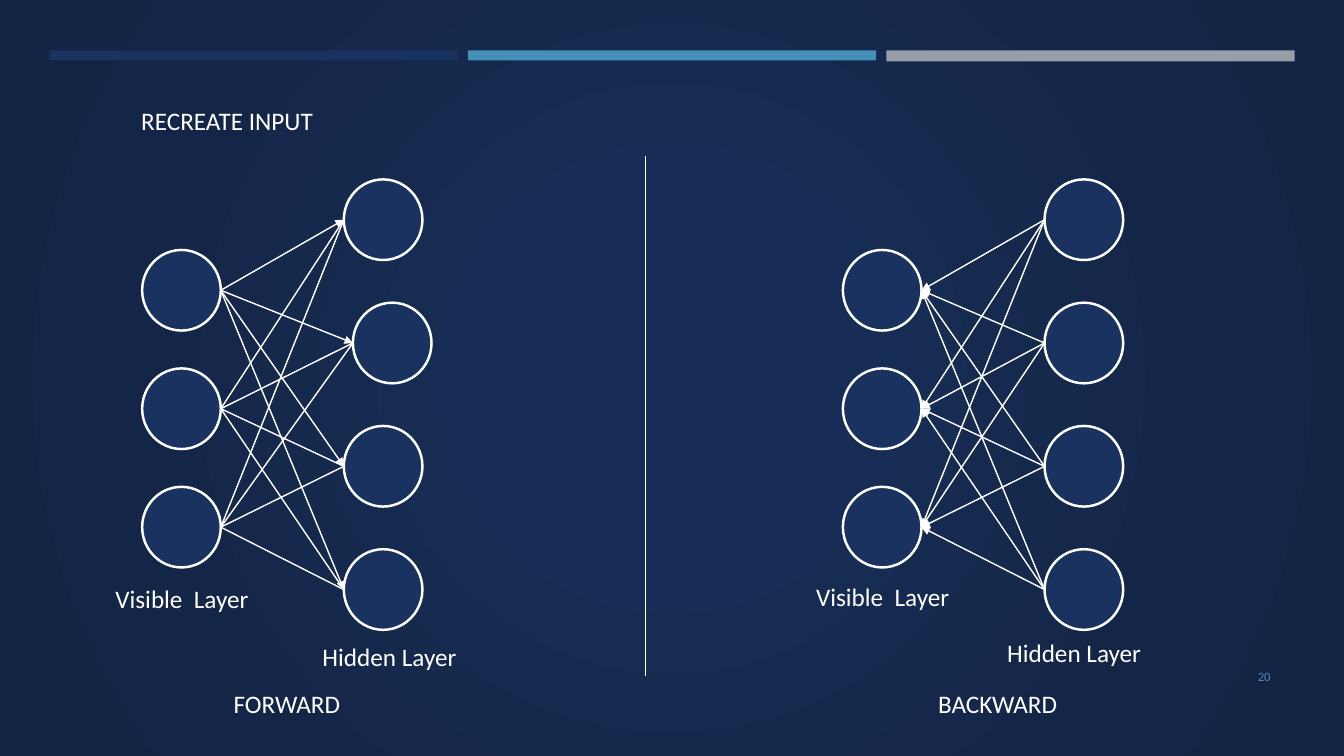
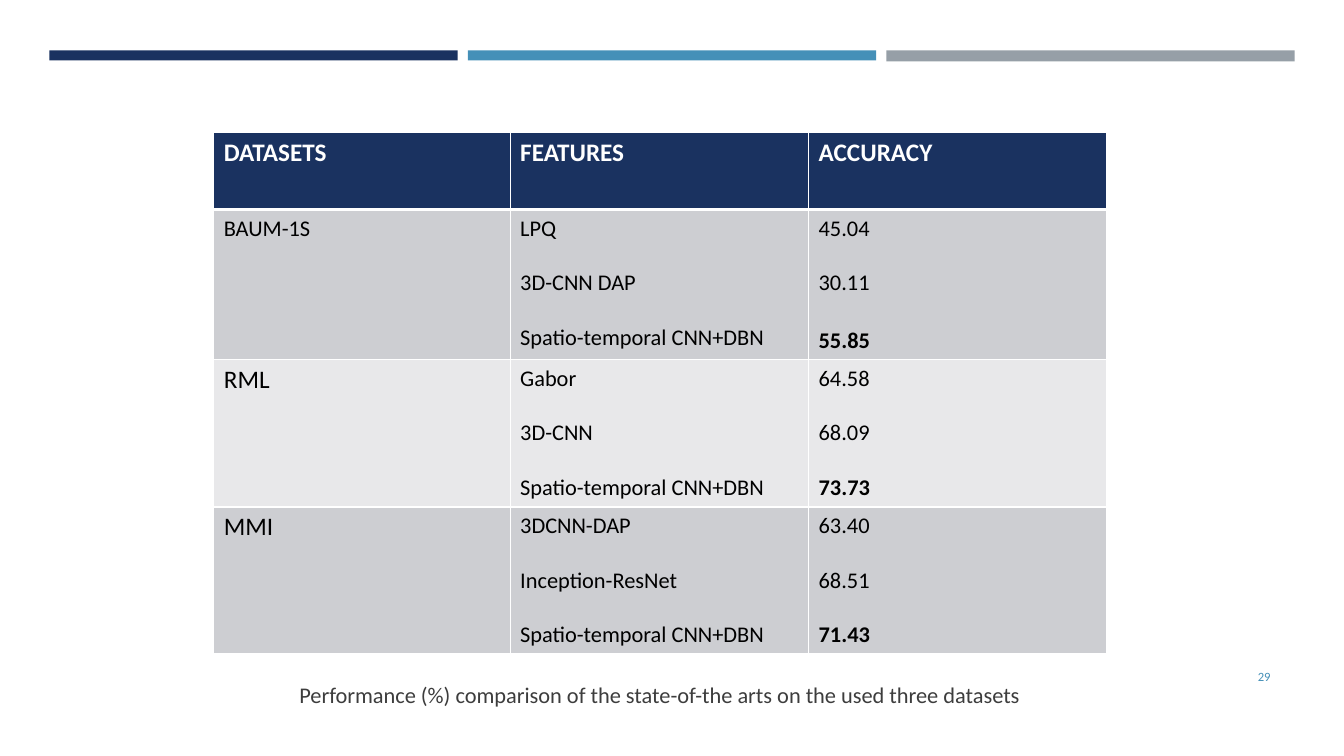
import pptx
import pptx.dml.color
import pptx.enum.shapes
import pptx.enum.text
import pptx.oxml
import pptx.oxml.ns
import pptx.util
from pptx.util import Inches

SHAPE = pptx.enum.shapes.MSO_SHAPE
ALIGN = pptx.enum.text.PP_ALIGN
ANCHOR = pptx.enum.text.MSO_ANCHOR
NS = pptx.oxml.ns.nsdecls("a")

FONT = "Calibri"
NAVY, BLUE, GREY = "1A3260", "4590B8", "969FA7"
WHITE, BLACK, CAPTION = "FFFFFF", "000000", "3D3D3D"
BANDS = [(0.49, 0.1, NAVY), (8.79, 0.11, GREY), (4.64, 0.1, BLUE)]
GLOW = [(0, "172D55"), (23, "172D55"), (69, "142648"), (97, "122343")]

NODE_W, NODE_H = 0.78, 0.8
VISIBLE_TOPS = [2.48 + 1.175 * i for i in range(3)]
HIDDEN_TOPS = [1.78 + 1.223 * i for i in range(4)]
# left edge, shift of each hidden node, label boxes
NETWORKS = [
    {"left": 1.41, "shifts": [0, 0.09, 0, 0], "backward": False, "labels": [
        ("Visible  Layer", (0.99, 5.74, 1.63, 0.4), ALIGN.CENTER),
        ("Hidden Layer", (3.1, 6.31, 1.58, 0.4), ALIGN.LEFT),
        ("FORWARD", (1.59, 6.78, 2.51, 0.4), ALIGN.CENTER)]},
    {"left": 8.36, "shifts": [0, 0, 0, 0], "backward": True, "labels": [
        ("Visible  Layer", (7.94, 5.72, 1.63, 0.4), ALIGN.CENTER),
        ("Hidden Layer", (9.89, 6.27, 1.58, 0.4), ALIGN.LEFT),
        ("BACKWARD", (8.64, 6.78, 2.51, 0.4), ALIGN.CENTER)]},
]

HEADERS = ["DATASETS", "FEATURES", "ACCURACY"]
# name, name size, features, accuracies, points above the best accuracy
RESULTS = [
    ("BAUM-1S", 16, ["LPQ", "3D-CNN DAP", "Spatio-temporal CNN+DBN"],
     ["45.04", "30.11", "55.85"], 22),
    ("RML", 18, ["Gabor", "3D-CNN", "Spatio-temporal CNN+DBN"],
     ["64.58", "68.09", "73.73"], 19.5),
    ("MMI", 18, ["3DCNN-DAP", "Inception-ResNet", "Spatio-temporal CNN+DBN"],
     ["63.40", "68.51", "71.43"], 19.5),
]
COL_WIDTHS = [2.94, 2.96, 2.96]
ROW_HEIGHTS = [0.77, 1.49, 1.46, 1.46]
ROW_FILLS = ["CDCED2", "E8E8EA"]
LINE_GAP = 19.5


def rgb(hex_color):
    return pptx.dml.color.RGBColor.from_string(hex_color)


def write(tf, *lines, size=18, color=WHITE, bold=False, align=ALIGN.LEFT,
          anchor=ANCHOR.TOP, gap=LINE_GAP):
    """Fill a text frame, one paragraph a line; return the paragraphs."""
    tf.word_wrap = True
    tf.vertical_anchor = anchor
    for i, line in enumerate(lines):
        p = tf.paragraphs[0] if i == 0 else tf.add_paragraph()
        p.alignment = align
        if i:
            p.space_before = pptx.util.Pt(gap)
        r = p.add_run()
        r.text = line
        r.font.name, r.font.size = FONT, pptx.util.Pt(size)
        r.font.bold = bold
        r.font.color.rgb = rgb(color)
    return tf.paragraphs


def add_text(s, box, text, **fmt):
    write(s.shapes.add_textbox(*map(Inches, box)).text_frame, text, **fmt)


def add_shape(s, kind, box, fill, line=None):
    sp = s.shapes.add_shape(kind, *map(Inches, box))
    sp.shadow.inherit = False
    sp.fill.solid()
    sp.fill.fore_color.rgb = rgb(fill)
    if line:
        sp.line.color.rgb = rgb(line)
        sp.line.width = pptx.util.Pt(1.75)
    else:
        sp.line.fill.background()


def add_line(s, start, end, arrow=False):
    c = s.shapes.add_connector(pptx.enum.shapes.MSO_CONNECTOR.STRAIGHT,
                               *map(Inches, start + end))
    c.line.color.rgb = rgb(WHITE)
    c.line.width = pptx.util.Pt(1)
    if arrow:
        c.line._get_or_add_ln().append(
            pptx.oxml.parse_xml(f'<a:tailEnd {NS} type="triangle"/>'))
    c._element.spPr.append(pptx.oxml.parse_xml(f"<a:effectLst {NS}/>"))


def add_slide(prs, layout, number):
    """Add a slide with the three top bands and its number."""
    s = prs.slides.add_slide(prs.slide_layouts[layout])
    for left, height, color in BANDS:
        add_shape(s, SHAPE.RECTANGLE, (left, 0.5, 4.05, height), color)
    add_text(s, (11.55, 6.51, 1.15, 0.4), number, size=9, color=BLUE,
             align=ALIGN.RIGHT, anchor=ANCHOR.MIDDLE)
    return s


def set_glow(s):
    """Give the slide a circular gradient background."""
    s.background.fill.solid()
    solid = s.element.xpath("p:cSld/p:bg/p:bgPr/a:solidFill")[0]
    stops = "".join(f'<a:gs pos="{pos * 1000}"><a:srgbClr val="{color}"/></a:gs>'
                    for pos, color in GLOW)
    solid.getparent().replace(solid, pptx.oxml.parse_xml(
        f'<a:gradFill {NS} rotWithShape="1"><a:gsLst>{stops}</a:gsLst>'
        '<a:path path="circle"><a:fillToRect l="50000" t="50000" r="50000" '
        'b="50000"/></a:path></a:gradFill>'))


def add_network(s, left, shifts, backward, labels):
    visible = [(left, top) for top in VISIBLE_TOPS]
    hidden = [(left + 2 + dx, top) for dx, top in zip(shifts, HIDDEN_TOPS)]
    for node in visible + hidden:
        add_shape(s, SHAPE.OVAL, node + (NODE_W, NODE_H), NAVY, WHITE)
    for i, (vx, vy) in enumerate(visible):
        for hx, hy in hidden:
            v, h = (vx + NODE_W, vy + NODE_H / 2), (hx, hy + NODE_H / 2)
            if backward:
                add_line(s, h, v, arrow=True)
            else:
                add_line(s, v, h, arrow=i == 0)
    for text, box, align in labels:
        add_text(s, box, text, align=align)


def style_cell(cell, fill, bottom=1):
    """Set white borders, then the fill."""
    tc_pr = cell._tc.get_or_add_tcPr()
    for side, width in (("L", 1), ("R", 1), ("T", 1), ("B", bottom)):
        tc_pr.append(pptx.oxml.parse_xml(
            f'<a:ln{side} {NS} w="{width * 12700}"><a:solidFill>'
            f'<a:srgbClr val="{WHITE}"/></a:solidFill></a:ln{side}>'))
    cell.fill.solid()
    cell.fill.fore_color.rgb = rgb(fill)


def add_results(s):
    box = (2.12, 1.31, sum(COL_WIDTHS), sum(ROW_HEIGHTS))
    table = s.shapes.add_table(len(ROW_HEIGHTS), len(COL_WIDTHS),
                               *map(Inches, box)).table
    for col, width in zip(table.columns, COL_WIDTHS):
        col.width = Inches(width)
    for row, height in zip(table.rows, ROW_HEIGHTS):
        row.height = Inches(height)
    for j, header in enumerate(HEADERS):
        cell = table.cell(0, j)
        write(cell.text_frame, header, bold=True)
        style_cell(cell, NAVY, bottom=3)
    for i, (name, size, features, scores, best_gap) in enumerate(RESULTS):
        cells = [table.cell(i + 1, j) for j in range(3)]
        for cell in cells:
            style_cell(cell, ROW_FILLS[i % 2])
        write(cells[0].text_frame, name, size=size, color=BLACK)
        write(cells[1].text_frame, *features, size=16, color=BLACK)
        best = write(cells[2].text_frame, *scores, size=16, color=BLACK)[-1]
        best.space_before = pptx.util.Pt(best_gap)
        best.runs[0].font.bold = True


def main():
    prs = pptx.Presentation()
    prs.slide_width, prs.slide_height = Inches(13.33), Inches(7.5)

    s = add_slide(prs, 5, "20")
    set_glow(s)
    title = s.shapes.title
    title.left, title.top, title.width, title.height = map(
        Inches, (1.3, 0.99, 3.28, 0.4))
    write(title.text_frame, "RECREATE INPUT")
    title.text_frame.auto_size = pptx.enum.text.MSO_AUTO_SIZE.NONE
    for network in NETWORKS:
        add_network(s, **network)
    add_line(s, (6.4, 1.55), (6.4, 6.71))

    s = add_slide(prs, 6, "29")
    add_results(s)
    add_text(s, (2.68, 6.71, 7.73, 0.37),
             "Performance (%) comparison of the state-of-the arts on the used "
             "three datasets", size=16, color=CAPTION, align=ALIGN.CENTER)

    prs.save("out.pptx")


if __name__ == "__main__":
    main()
